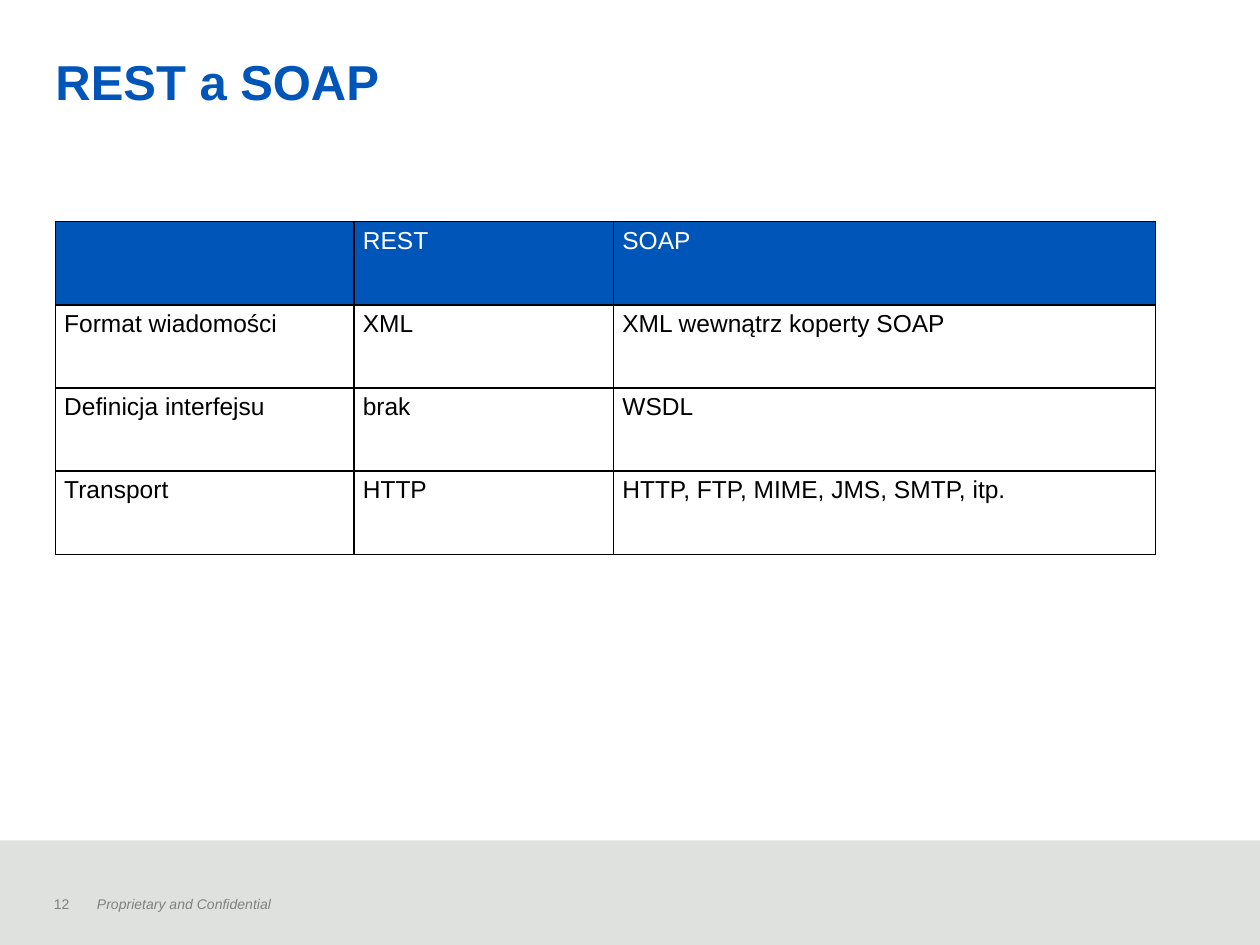
from dataclasses import dataclass

from lxml import etree
from pptx import Presentation
from pptx.dml.color import RGBColor
from pptx.enum.shapes import MSO_SHAPE
from pptx.enum.text import MSO_ANCHOR, PP_ALIGN
from pptx.oxml.ns import qn
from pptx.util import Inches, Pt

RECTANGLE = MSO_SHAPE.RECTANGLE
TOP = MSO_ANCHOR.TOP
MIDDLE = MSO_ANCHOR.MIDDLE
LEFT = PP_ALIGN.LEFT

FONT = "Arial"
BLUE = "0055B8"
WHITE = "FFFFFF"
BLACK = "000000"
GREY = "808080"
PALE_GREY = "DFE1DF"

COLUMN_WIDTHS = (2.37, 2.06, 4.3)
ROW_HEIGHT = 0.66
COMPARISON = (
    ("", "REST", "SOAP"),
    ("Format wiadomości", "XML", "XML wewnątrz koperty SOAP"),
    ("Definicja interfejsu", "brak", "WSDL"),
    ("Transport", "HTTP", "HTTP, FTP, MIME, JMS, SMTP, itp."),
)


@dataclass(frozen=True)
class TextStyle:
    size: float
    color: str
    bold: bool = False
    italic: bool = False


@dataclass(frozen=True)
class FooterText:
    text: str
    box: tuple[float, float, float, float]
    margins: tuple[float, float]
    style: TextStyle


FOOTER = (
    FooterText("12", (0.33, 7.06, 0.49, 0.24), (0.1, 0.05), TextStyle(8, GREY)),
    FooterText("Proprietary and Confidential", (0.77, 7.11, 6.17, 0.13), (0, 0),
               TextStyle(8, GREY, italic=True)),
)


def set_color(color_format, value: str) -> None:
    color_format.rgb = RGBColor.from_string(value)


def set_fill(fill, value: str) -> None:
    fill.solid()
    set_color(fill.fore_color, value)


def add_run(paragraph, text: str, style: TextStyle) -> None:
    run = paragraph.add_run()
    run.text = text
    run.font.name = FONT
    run.font.size = Pt(style.size)
    run.font.bold = style.bold
    run.font.italic = style.italic
    set_color(run.font.color, style.color)


def set_margins(area, horizontal: float, vertical: float) -> None:
    area.margin_left = area.margin_right = Inches(horizontal)
    area.margin_top = area.margin_bottom = Inches(vertical)


def add_borders(cell, color: str, width: float) -> None:
    properties = cell._tc.get_or_add_tcPr()
    for side in ("a:lnL", "a:lnR", "a:lnT", "a:lnB"):
        line = etree.SubElement(properties, qn(side), w=str(Pt(width)))
        solid = etree.SubElement(line, qn("a:solidFill"))
        etree.SubElement(solid, qn("a:srgbClr"), val=color)


def add_title(slide, text: str) -> None:
    title = slide.shapes.title
    title.left, title.top = Inches(0.44), Inches(0.38)
    title.width, title.height = Inches(9.14), Inches(0.53)
    frame = title.text_frame
    set_margins(frame, 0, 0)
    frame.vertical_anchor = MIDDLE
    paragraph = frame.paragraphs[0]
    paragraph.alignment = LEFT
    add_run(paragraph, text, TextStyle(28, BLUE, bold=True))


def add_footer_band(slide) -> None:
    band = slide.shapes.add_shape(
        RECTANGLE, Inches(-0.01), Inches(6.67), Inches(10.01), Inches(0.83))
    band.shadow.inherit = False
    set_fill(band.fill, PALE_GREY)
    band.line.fill.background()


def add_footer_text(slide, footer: FooterText) -> None:
    frame = slide.shapes.add_textbox(*map(Inches, footer.box)).text_frame
    frame.word_wrap = True
    set_margins(frame, *footer.margins)
    add_run(frame.paragraphs[0], footer.text, footer.style)


def add_comparison(slide) -> None:
    table = slide.shapes.add_table(
        len(COMPARISON), len(COLUMN_WIDTHS), Inches(0.44), Inches(1.76),
        Inches(sum(COLUMN_WIDTHS)), Inches(ROW_HEIGHT * len(COMPARISON))).table
    table.horz_banding = False
    for column, width in zip(table.columns, COLUMN_WIDTHS):
        column.width = Inches(width)
    for index, (row, texts) in enumerate(zip(table.rows, COMPARISON)):
        row.height = Inches(ROW_HEIGHT)
        fill, ink = (BLUE, WHITE) if index == 0 else (WHITE, BLACK)
        for cell, text in zip(row.cells, texts):
            add_borders(cell, BLACK, 1)
            set_fill(cell.fill, fill)
            set_margins(cell, 0.07, 0.04)
            cell.vertical_anchor = TOP
            if text:
                add_run(cell.text_frame.paragraphs[0], text, TextStyle(14, ink))


def main() -> None:
    presentation = Presentation()
    presentation.slide_width = Inches(10)
    presentation.slide_height = Inches(7.5)
    slide = presentation.slides.add_slide(presentation.slide_layouts[5])
    set_fill(slide.background.fill, WHITE)
    add_footer_band(slide)
    for footer in FOOTER:
        add_footer_text(slide, footer)
    add_title(slide, "REST a SOAP")
    add_comparison(slide)
    presentation.save("out.pptx")


if __name__ == "__main__":
    main()
